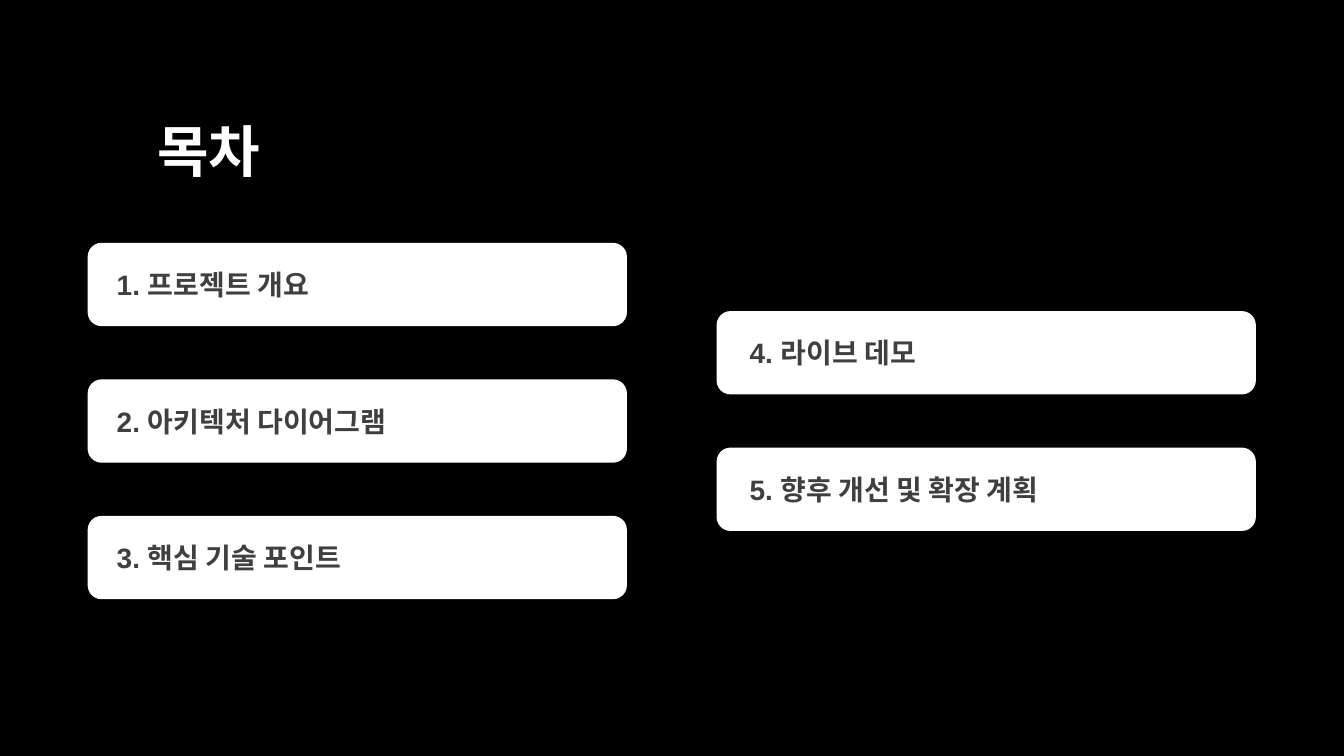
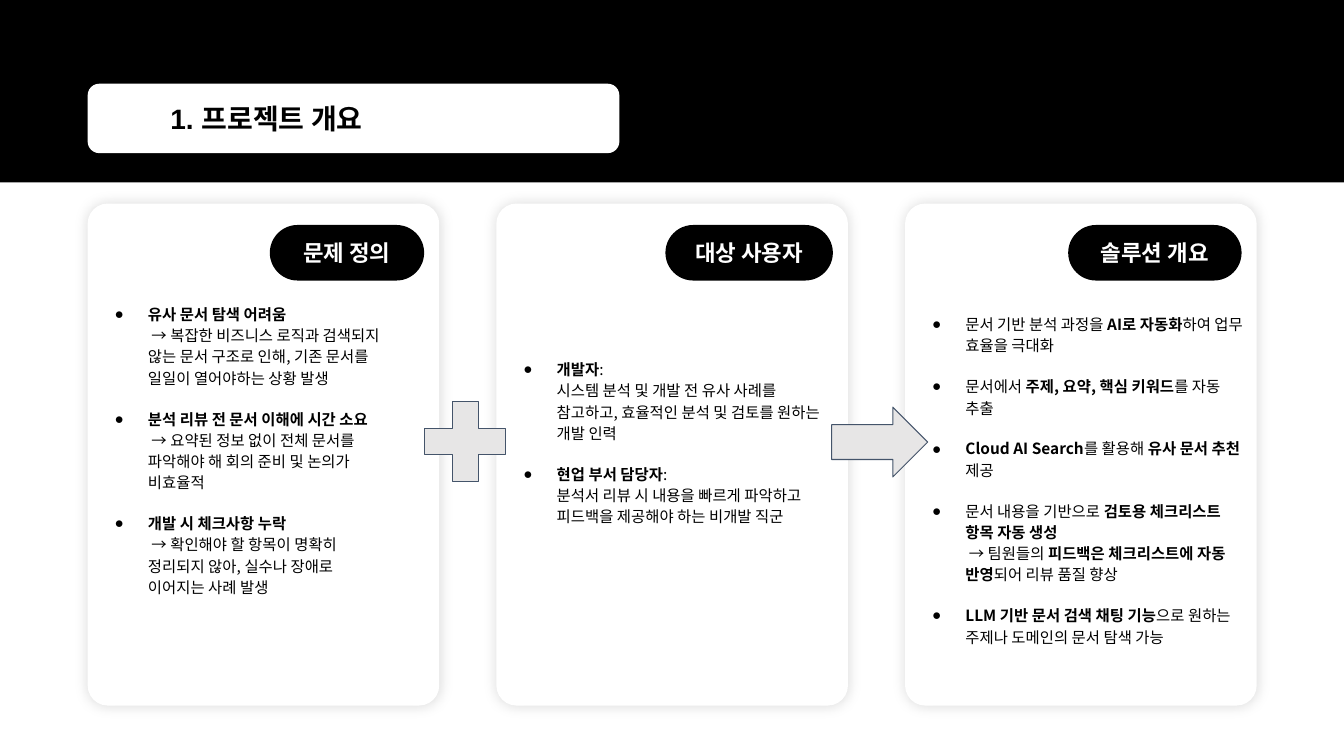
import dataclasses

import lxml.etree
import pptx
import pptx.dml.color
import pptx.enum.shapes
import pptx.enum.text
import pptx.oxml.ns
import pptx.util

Cm = pptx.util.Cm
Pt = pptx.util.Pt
SHAPE = pptx.enum.shapes.MSO_SHAPE
ALIGN = pptx.enum.text.PP_ALIGN
ANCHOR = pptx.enum.text.MSO_ANCHOR


@dataclasses.dataclass(frozen=True)
class Theme:
    black: str = "000000"
    white: str = "FFFFFF"
    agenda_text: str = "3F3F3F"
    symbol_fill: str = "E7E6E6"
    symbol_line: str = "44546A"
    heading_font: str = "Arial"
    body_font: str = "Noto Sans CJK KR"
    title_size: int = 40
    heading_size: int = 20
    label_size: int = 16
    body_size: int = 11
    line_pitch: float = 15.2
    point_gap: float = 14
    width: float = 33.87
    height: float = 19.05
    margin: float = 2.21


THEME = Theme()

AGENDA_COLUMNS = [
    # left, top, text inset, entries
    (THEME.margin, 6.12, 0.63, ["1. 프로젝트 개요", "2. 아키텍처 다이어그램", "3. 핵심 기술 포인트"]),
    (18.06, 7.84, 0.73, ["4. 라이브 데모", "5. 향후 개선 및 확장 계획"]),
]

# Bold passages stand between asterisks.
OVERVIEW_CARDS = [
    # label, label width, top of points, right inset of points, points
    ("문제 정의", 3.89, 7.49, 1.24, [
        "*유사 문서 탐색 어려움*\n → 복잡한 비즈니스 로직과 검색되지 않는 문서 구조로 인해, "
        "기존 문서를 일일이 열어야하는 상황 발생",
        "*분석 리뷰 전 문서 이해에 시간 소요*\n → 요약된 정보 없이 전체 문서를 "
        "파악해야 해 회의 준비 및 논의가 비효율적",
        "*개발 시 체크사항 누락*\n → 확인해야 할 항목이 명확히 정리되지 않아, "
        "실수나 장애로 이어지는 사례 발생",
    ]),
    ("대상 사용자", 4.22, 8.88, 0.4, [
        "*개발자*:\n시스템 분석 및 개발 전 유사 사례를 참고하고, "
        "효율적인 분석 및 검토를 원하는 개발 인력",
        "*현업 부서 담당자*:\n분석서 리뷰 시 내용을 빠르게 파악하고 "
        "피드백을 제공해야 하는 비개발 직군",
    ]),
    ("솔루션 개요", 4.37, 7.75, 0.25, [
        "문서 기반 분석 과정을 *AI로 자동화*하여 업무 효율을 극대화",
        "문서에서 *주제, 요약, 핵심 키워드*를 자동 추출",
        "*Cloud AI Search*를 활용해 *유사 문서 추천* 제공",
        "문서 내용을 기반으로 *검토용 체크리스트 항목 자동 생성*\n"
        " → 팀원들의 *피드백은 체크리스트에 자동 반영*되어 리뷰 품질 향상",
        "*LLM 기반 문서 검색 채팅 기능*으로 원하는 주제나 도메인의 문서 탐색 가능",
    ]),
]


def rgb(color):
    return pptx.dml.color.RGBColor.from_string(color)


def add_slide(deck, background):
    slide = deck.slides.add_slide(deck.slide_layouts[6])
    slide.background.fill.solid()
    slide.background.fill.fore_color.rgb = rgb(background)
    return slide


def add_block(slide, kind, box, fill, adjustments=(), line=None):
    """Add a preset shape; box is left, top, width, height in cm."""
    block = slide.shapes.add_shape(kind, *map(Cm, box))
    block.shadow.inherit = False
    block.fill.solid()
    block.fill.fore_color.rgb = rgb(fill)
    if line:
        block.line.color.rgb = rgb(line)
        block.line.width = Pt(0.75)
    else:
        block.line.fill.background()
    for index, value in enumerate(adjustments):
        block.adjustments[index] = value
    return block


def set_font(paragraph, name, size, color, bold=None):
    paragraph.font.name = name
    paragraph.font.size = Pt(size)
    paragraph.font.color.rgb = rgb(color)
    paragraph.font.bold = bold


def write_heading(holder, text, size, color, inset=0.25, align=ALIGN.LEFT):
    frame = holder.text_frame
    frame.word_wrap = True
    frame.vertical_anchor = ANCHOR.MIDDLE
    frame.margin_left = Cm(inset)
    paragraph = frame.paragraphs[0]
    paragraph.text = text
    paragraph.alignment = align
    set_font(paragraph, THEME.heading_font, size, color, bold=True)


def add_soft_shadow(block):
    effects = block.element.spPr.find(pptx.oxml.ns.qn("a:effectLst"))
    shadow = lxml.etree.SubElement(
        effects, pptx.oxml.ns.qn("a:outerShdw"), blurRad=str(Pt(10)), dist="0", algn="ctr")
    color = lxml.etree.SubElement(shadow, pptx.oxml.ns.qn("a:srgbClr"), val=THEME.black)
    lxml.etree.SubElement(color, pptx.oxml.ns.qn("a:alpha"), val="15000")


def add_bullet(paragraph):
    properties = paragraph._p.get_or_add_pPr()
    properties.set("marL", str(Cm(1.27)))
    properties.set("indent", str(Cm(-0.84)))
    lxml.etree.SubElement(properties, pptx.oxml.ns.qn("a:buFont"), typeface=THEME.heading_font)
    lxml.etree.SubElement(properties, pptx.oxml.ns.qn("a:buChar"), char="●")


def write_point(paragraph, text):
    """Write one bullet, with asterisks toggling bold and newlines breaking lines."""
    add_bullet(paragraph)
    set_font(paragraph, THEME.body_font, THEME.body_size, THEME.black)
    paragraph.line_spacing = Pt(THEME.line_pitch)
    paragraph.space_after = Pt(THEME.point_gap)
    for order, passage in enumerate(text.split("*")):
        for row, words in enumerate(passage.split("\n")):
            if row:
                paragraph.add_line_break()
            if words:
                run = paragraph.add_run()
                run.text = words
                run.font.bold = order % 2 == 1


def add_points(slide, box, right_inset, points):
    frame = slide.shapes.add_textbox(*map(Cm, box)).text_frame
    frame.word_wrap = True
    frame.margin_right = Cm(right_inset)
    for order, point in enumerate(points):
        write_point(frame.add_paragraph() if order else frame.paragraphs[0], point)


def add_overview_card(slide, left, label, label_width, points_top, right_inset, points):
    top, width, height, label_gap = 5.13, 8.86, 12.65, 0.38
    card = add_block(slide, SHAPE.ROUNDED_RECTANGLE, (left, top, width, height),
                     THEME.white, [0.057])
    add_soft_shadow(card)
    add_points(slide, (left, points_top, width, 8.84), right_inset, points)
    label_left = left + width - label_gap - label_width
    pill = add_block(slide, SHAPE.ROUNDED_RECTANGLE, (label_left, 5.67, label_width, 1.4),
                     THEME.black, [0.5])
    write_heading(pill, label, THEME.label_size, THEME.white, align=ALIGN.CENTER)


def build_agenda(deck):
    slide = add_slide(deck, THEME.black)
    title = slide.shapes.add_textbox(Cm(THEME.margin), Cm(2.8), Cm(14.02), Cm(1.96))
    write_heading(title, "목차", THEME.title_size, THEME.white, inset=1.75)
    row_pitch = 3.44
    for left, top, inset, entries in AGENDA_COLUMNS:
        for row, entry in enumerate(entries):
            bar = add_block(slide, SHAPE.ROUNDED_RECTANGLE,
                            (left, top + row * row_pitch, 13.59, 2.1), THEME.white, [0.167])
            write_heading(bar, entry, THEME.heading_size, THEME.agenda_text, inset)


def build_overview(deck):
    slide = add_slide(deck, THEME.white)
    add_block(slide, SHAPE.RECTANGLE, (0, 0, THEME.width, 4.6), THEME.black)
    title = add_block(slide, SHAPE.ROUNDED_RECTANGLE, (THEME.margin, 2.11, 13.4, 1.75),
                      THEME.white, [0.167])
    write_heading(title, AGENDA_COLUMNS[0][3][0], THEME.heading_size, THEME.black, inset=2)
    card_pitch = 10.3
    for column, card in enumerate(OVERVIEW_CARDS):
        add_overview_card(slide, THEME.margin + column * card_pitch, *card)
    for kind, box, adjustments in (
        (SHAPE.RIGHT_ARROW, (20.96, 10.26, 2.42, 1.76), [0.5, 0.5]),
        (SHAPE.MATH_PLUS, (10.34, 9.75, 2.77, 2.75), [0.235]),
    ):
        add_block(slide, kind, box, THEME.symbol_fill, adjustments, THEME.symbol_line)


def main():
    deck = pptx.Presentation()
    deck.slide_width, deck.slide_height = Cm(THEME.width), Cm(THEME.height)
    build_agenda(deck)
    build_overview(deck)
    deck.save("out.pptx")


if __name__ == "__main__":
    main()
